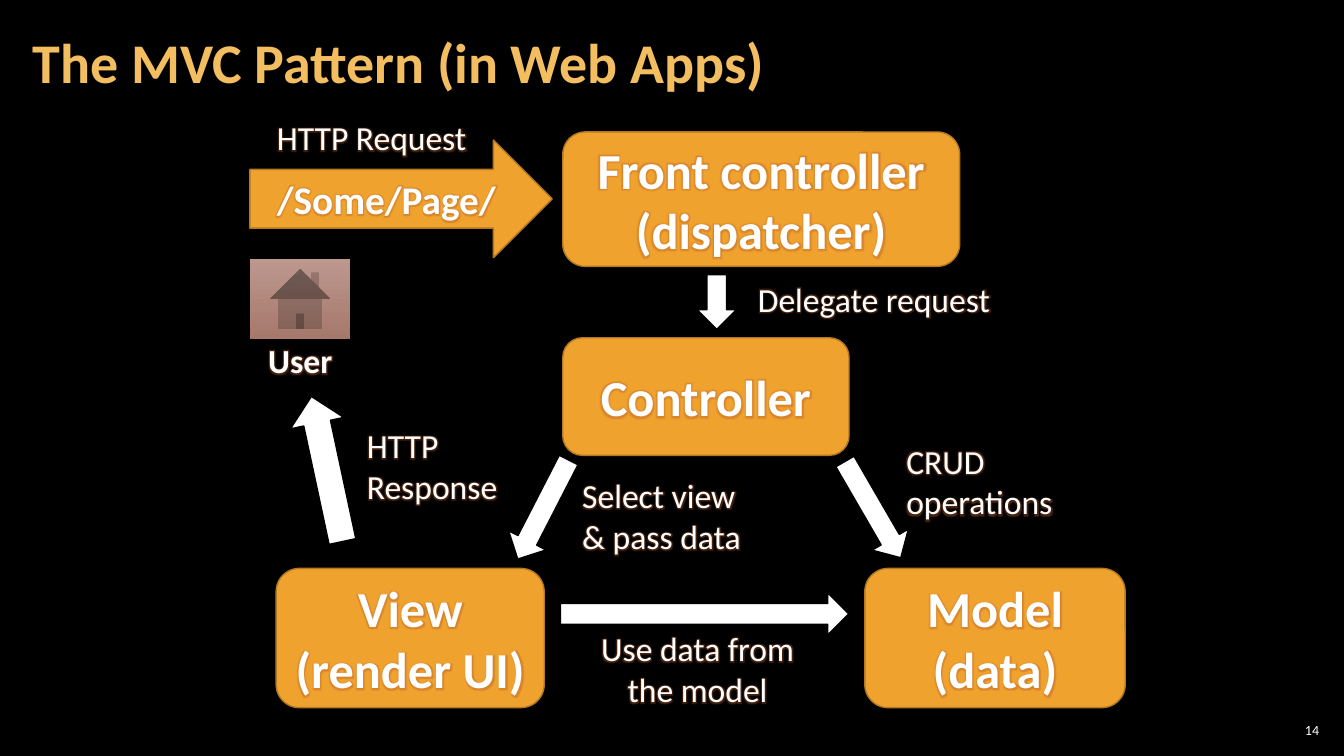
from collections import namedtuple
from lxml import etree
from pptx import Presentation
from pptx.dml.color import RGBColor
from pptx.enum.shapes import MSO_SHAPE as Shape
from pptx.enum.text import MSO_ANCHOR as Anchor, PP_ALIGN as Align
from pptx.oxml.ns import qn
from pptx.util import Pt

BLACK = RGBColor(0x00, 0x00, 0x00)
WHITE = RGBColor(0xFF, 0xFF, 0xFF)
GOLD = RGBColor(0xF3, 0xBE, 0x60)
ORANGE = RGBColor(0xF0, 0xA2, 0x2E)
BROWN = RGBColor(0xB2, 0x78, 0x22)
GLOW = RGBColor(0xB4, 0x5A, 0x28)
ROSE = RGBColor(0xBD, 0x98, 0x8F)
CLAY = RGBColor(0xA6, 0x78, 0x6C)

Box = namedtuple("Box", "left top width height")


def within(box, left, top, width, height):
    """Return a box whose corner is measured from the corner of another."""
    return Box(box.left + left, box.top + top, width, height)


def add_glow(span):
    """Give a run of text a soft brown glow."""
    effects = etree.Element(qn("a:effectLst"))
    glow = etree.SubElement(effects, qn("a:glow"), rad=str(Pt(4.2)))
    color = etree.SubElement(glow, qn("a:srgbClr"), val=str(GLOW))
    etree.SubElement(color, qn("a:alpha"), val="40000")
    span.font.fill._xPr.find(qn("a:solidFill")).addnext(effects)


def write(shape, text, size=24, color=WHITE, bold=False, align=Align.CENTER,
          margins=(7.2, 3.6), spacing=None, glow=True):
    """Write formatted text into a shape, one paragraph for each line."""
    frame = shape.text_frame
    frame.word_wrap = True
    frame.vertical_anchor = Anchor.MIDDLE
    frame.margin_left = frame.margin_right = Pt(margins[0])
    frame.margin_top = frame.margin_bottom = Pt(margins[1])
    frame.text = text
    for para in frame.paragraphs:
        para.alignment = align
        para.line_spacing = spacing
        for span in para.runs:
            span.font.name = "Calibri"
            span.font.size = Pt(size)
            span.font.bold = bold
            span.font.color.rgb = color
            if glow:
                add_glow(span)


def add_label(slide, box, text, **style):
    """Add a text box."""
    write(slide.shapes.add_textbox(*map(Pt, box)), text, **style)


def add_block(slide, kind, box, fill=WHITE, line=BLACK, rotation=0):
    """Add a filled and outlined preset shape."""
    block = slide.shapes.add_shape(kind, *map(Pt, box))
    block.shadow.inherit = False
    block.fill.solid()
    block.fill.fore_color.rgb = fill
    block.line.color.rgb = line
    block.line.width = Pt(1)
    block.rotation = rotation
    return block


def add_node(slide, box, text, kind=Shape.ROUNDED_RECTANGLE, size=36):
    """Add an orange component with a bold caption."""
    write(add_block(slide, kind, box, ORANGE, BROWN), text, size=size, bold=True)


def draw_heading(slide, page):
    """Draw the title and the slide number."""
    add_label(slide, within(page, 15, 3, 754, 87), "The MVC Pattern (in Web Apps)",
              size=40, color=GOLD, bold=True, align=Align.LEFT,
              margins=(8.5, 2.8), spacing=0.9, glow=False)
    add_label(slide, within(page, 911, 514, 34, 15), "14", size=10,
              align=Align.RIGHT, margins=(2.8, 2.8), glow=False)


def draw_user(slide, box):
    """Draw the user with the request and the response."""
    add_node(slide, within(box, 0, 20, 216, 84), "/Some/Page/", Shape.RIGHT_ARROW, 28)
    add_label(slide, within(box, 0, 0, 174, 36), "HTTP Request")
    home = add_block(slide, Shape.ACTION_BUTTON_HOME, within(box, 0, 105, 72, 57))
    home.fill.gradient()
    home.fill.gradient_angle = 270
    for stop, color in zip(home.fill.gradient_stops, (ROSE, CLAY)):
        stop.color.rgb = color
    home.line.fill.background()
    add_label(slide, within(box, 0, 159, 72, 36), "User", bold=True)
    add_block(slide, Shape.DOWN_ARROW, within(box, 35.5, 202, 39, 106), rotation=167.9)
    add_label(slide, within(box, 76.5, 212, 126, 81), "HTTP\vResponse", align=Align.LEFT)


def draw_controllers(slide, box):
    """Draw the front controller that delegates to the controller."""
    add_node(slide, within(box, 0, 0, 283.5, 96), "Front controller (dispatcher)")
    add_block(slide, Shape.DOWN_ARROW, within(box, 96, 102, 28, 39))
    add_label(slide, within(box, 120, 102, 204.5, 34), "Delegate request")
    add_node(slide, within(box, 0, 147, 204.5, 84), "Controller")


def draw_view_and_model(slide, box):
    """Draw the view and the model with the arrows that reach them."""
    add_node(slide, within(box, 0, 95, 191.5, 99.5), "View\n(render UI)")
    add_node(slide, within(box, 420.5, 95, 186, 99.5), "Model (data)")
    add_block(slide, Shape.RIGHT_ARROW, within(box, 203, 112.5, 206, 30))
    add_label(slide, within(box, 199, 148.5, 204, 36), "Use data from\nthe model")
    for left, rotation in ((151, 297.2), (386.5, 239.9)):
        add_block(slide, Shape.LEFT_ARROW, within(box, left, 38, 79.5, 30),
                  rotation=rotation)
    add_label(slide, within(box, 211.5, 10, 159, 94.5), "Select view\v& pass data",
              align=Align.LEFT)
    add_label(slide, within(box, 443, 0, 120, 65.5), "CRUD operations",
              align=Align.LEFT)


def main():
    """Build the deck and save it."""
    deck = Presentation()
    deck.slide_width, deck.slide_height = Pt(960), Pt(540)
    slide = deck.slides.add_slide(deck.slide_layouts[6])
    slide.background.fill.solid()
    slide.background.fill.fore_color.rgb = BLACK
    draw_heading(slide, Box(0, 0, 960, 540))
    draw_user(slide, Box(178.5, 80, 216, 308))
    draw_controllers(slide, Box(402, 94.25, 324.5, 231))
    draw_view_and_model(slide, Box(197.25, 311, 606.5, 194.5))
    deck.save("out.pptx")


if __name__ == "__main__":
    main()
